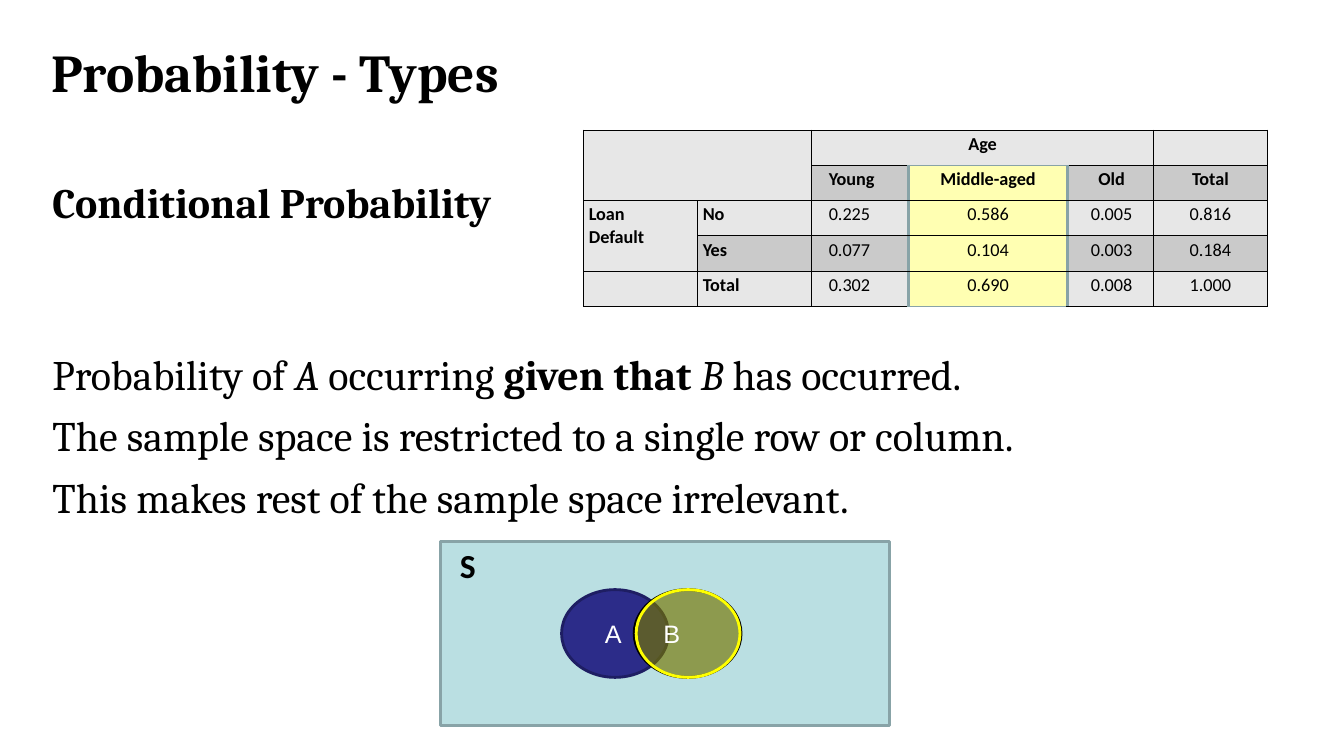
"""Builds the slide on conditional probability with its table and Venn diagram."""
import pptx
import pptx.dml.color
import pptx.enum.shapes
import pptx.enum.text
import pptx.oxml
import pptx.oxml.ns
import pptx.util

Inches = pptx.util.Inches
Pt = pptx.util.Pt
Align = pptx.enum.text.PP_ALIGN
Anchor = pptx.enum.text.MSO_ANCHOR
Preset = pptx.enum.shapes.MSO_SHAPE

BLACK, WHITE, YELLOW = "000000", "FFFFFF", "FFFF00"
LIGHT, DARK, STEEL = "E7E7E7", "CACACA", "88A3A7"

STATEMENTS = [
    [("Probability of ", ""), ("A ", "i"), ("occurring ", ""), ("given that ", "b"),
     ("B ", "i"), ("has occurred.", "")],
    [("The sample space is restricted to a single row or column.", "")],
    [("This makes rest of the sample space irrelevant.", "")],
]
TABLE_ROWS = [
    ["", "", "Age", "", "", ""],
    ["", "", "Young", "Middle-aged", "Old", "Total"],
    ["Loan Default", "No", "0.225", "0.586", "0.005", "0.816"],
    ["", "Yes", "0.077", "0.104", "0.003", "0.184"],
    ["", "Total", "0.302", "0.690", "0.008", "1.000"],
]
MERGES = [((0, 0), (1, 1)), ((0, 2), (0, 4)), ((2, 0), (3, 0))]
COLUMN_WIDTHS = [1.13, 1.13, 0.96, 1.58, 0.85, 1.13]
COLUMN_INDENTS = [0.05, 0.05, 0.17, 0, 0.02, 0]
ROW_HEIGHT = 0.35
HIGHLIGHT = 3
VENN_SHAPES = [
    (Preset.RECTANGLE, (4.37, 5.37, 4.45, 1.83), "BADFE2", 100, STEEL),
    (Preset.OVAL, (5.57, 5.85, 1.06, 0.87), "2C2C89", 100, "1E1E63"),
    (Preset.OVAL, (6.29, 5.85, 1.06, 0.87), BLACK, 50, BLACK),
    (Preset.OVAL, (6.31, 5.85, 1.03, 0.87), YELLOW, 30, YELLOW),
]


def rgb(code):
    return pptx.dml.color.RGBColor.from_string(code)


def paint(fill, code, opacity=100):
    fill.solid()
    fill.fore_color.rgb = rgb(code)
    if opacity < 100:
        color = fill._xPr.find(".//" + pptx.oxml.ns.qn("a:srgbClr"))
        color.append(pptx.oxml.parse_xml(
            f'<a:alpha {pptx.oxml.ns.nsdecls("a")} val="{opacity * 1000}"/>'))


def write(para, spans, size, font, color=BLACK, align=Align.LEFT, before=0, tab=None):
    if tab:
        para._p.get_or_add_pPr().append(pptx.oxml.parse_xml(
            f'<a:tabLst {pptx.oxml.ns.nsdecls("a")}><a:tab pos="{Inches(tab)}" algn="l"/></a:tabLst>'))
    para.alignment = align
    para.space_before = Pt(before)
    for text, style in spans:
        span = para.add_run()
        span.text = text
        span.font.size = Pt(size)
        span.font.name = font
        span.font.color.rgb = rgb(color)
        span.font.bold = "b" in style
        span.font.italic = "i" in style


def add_text(shapes, place, paragraphs, size, font, gap=0, top=0.01, **options):
    box = shapes.add_textbox(*map(Inches, place))
    frame = box.text_frame
    frame.word_wrap = True
    frame.margin_left = frame.margin_right = frame.margin_bottom = 0
    frame.margin_top = Inches(top)
    for index, spans in enumerate(paragraphs):
        para = frame.add_paragraph() if index else frame.paragraphs[0]
        write(para, spans, size, font, before=gap if index else 0, **options)
    return frame


def edge_cell(cell, edges):
    properties = cell._tc.get_or_add_tcPr()
    for index, (side, color, width) in enumerate(edges):
        properties.insert(index, pptx.oxml.parse_xml(
            f'<a:ln{side} {pptx.oxml.ns.nsdecls("a")} w="{Pt(width)}"><a:solidFill>'
            f'<a:srgbClr val="{color}"/></a:solidFill></a:ln{side}>'))


def cell_edges(row, column):
    last_row, last_column = len(TABLE_ROWS) - 1, len(COLUMN_WIDTHS) - 1
    marked = row > 0 and column == HIGHLIGHT
    left = (STEEL, 2.25) if row and column in (HIGHLIGHT, HIGHLIGHT + 1) else (BLACK, 1 if column else 0.75)
    right = (STEEL, 2.25) if row and column in (HIGHLIGHT - 1, HIGHLIGHT) else (
        BLACK, 0.75 if column == last_column else 1)
    top = (STEEL if marked and row == 1 else BLACK, 1 if row else 0.5)
    bottom = (STEEL if marked and row == last_row else BLACK, 0.75 if row == last_row else 1)
    return [("L", *left), ("R", *right), ("T", *top), ("B", *bottom)]


def add_table(page):
    table = page.shapes.add_table(
        len(TABLE_ROWS), len(COLUMN_WIDTHS), Inches(5.79), Inches(1.29),
        Inches(sum(COLUMN_WIDTHS)), Inches(ROW_HEIGHT * len(TABLE_ROWS))).table
    table.first_row = table.horz_banding = False
    for column, width in zip(table.columns, COLUMN_WIDTHS):
        column.width = Inches(width)
    for row in table.rows:
        row.height = Inches(ROW_HEIGHT)
    for first, last in MERGES:
        table.cell(*first).merge(table.cell(*last))
    for row, texts in enumerate(TABLE_ROWS):
        for column, text in enumerate(texts):
            cell = table.cell(row, column)
            if cell.is_spanned:
                continue
            cell.margin_left = Inches(COLUMN_INDENTS[column] if row else 0)
            cell.margin_right = Inches(0.4 if column == 0 else 0)
            cell.margin_top, cell.margin_bottom = Inches(0.03), 0
            if row and column == HIGHLIGHT:
                paint(cell.fill, YELLOW, 30)
            else:
                paint(cell.fill, DARK if row in (1, 3) and column else LIGHT)
            edge_cell(cell, cell_edges(row, column))
            if text:
                style = "b" if row < 2 or column < 2 else ""
                align = Align.LEFT if row and column < HIGHLIGHT else Align.CENTER
                write(cell.text_frame.paragraphs[0], [(text, style)], 13, "Calibri", align=align)


def add_venn(page):
    shapes = page.shapes.add_group_shape().shapes
    for preset, place, fill, opacity, line in VENN_SHAPES:
        shape = shapes.add_shape(preset, *map(Inches, place))
        shape.shadow.inherit = False
        paint(shape.fill, fill, opacity)
        shape.line.color.rgb = rgb(line)
        shape.line.width = Pt(2.04)
    add_text(shapes, (6, 6.11, 0.95, 0.34), [[("A\tB", "")]], 18, "Arial",
             color=WHITE, tab=0.58, top=0.02)
    add_text(shapes, (4.56, 5.39, 0.28, 0.49), [[("S", "b")]], 24, "Calibri", top=0.02)


def main():
    deck = pptx.Presentation()
    deck.slide_width, deck.slide_height = Inches(13.33), Inches(7.5)
    page = deck.slides.add_slide(deck.slide_layouts[6])
    add_table(page)
    add_text(page.shapes, (0.52, 3.45, 12.05, 1.75), STATEMENTS, 30, "Cambria", gap=7.7)
    add_venn(page)
    title = add_text(page.shapes, (0.51, 0.36, 12.32, 0.78),
                     [[("Probability - Types", "b")]], 38, "Cambria", top=0)
    title.vertical_anchor = Anchor.MIDDLE
    title.paragraphs[0].line_spacing = 0.9
    add_text(page.shapes, (0.52, 1.72, 5.27, 0.52),
             [[("Conditional Probability", "b")]], 30, "Cambria", top=0.03)
    deck.save("out.pptx")


if __name__ == "__main__":
    main()
